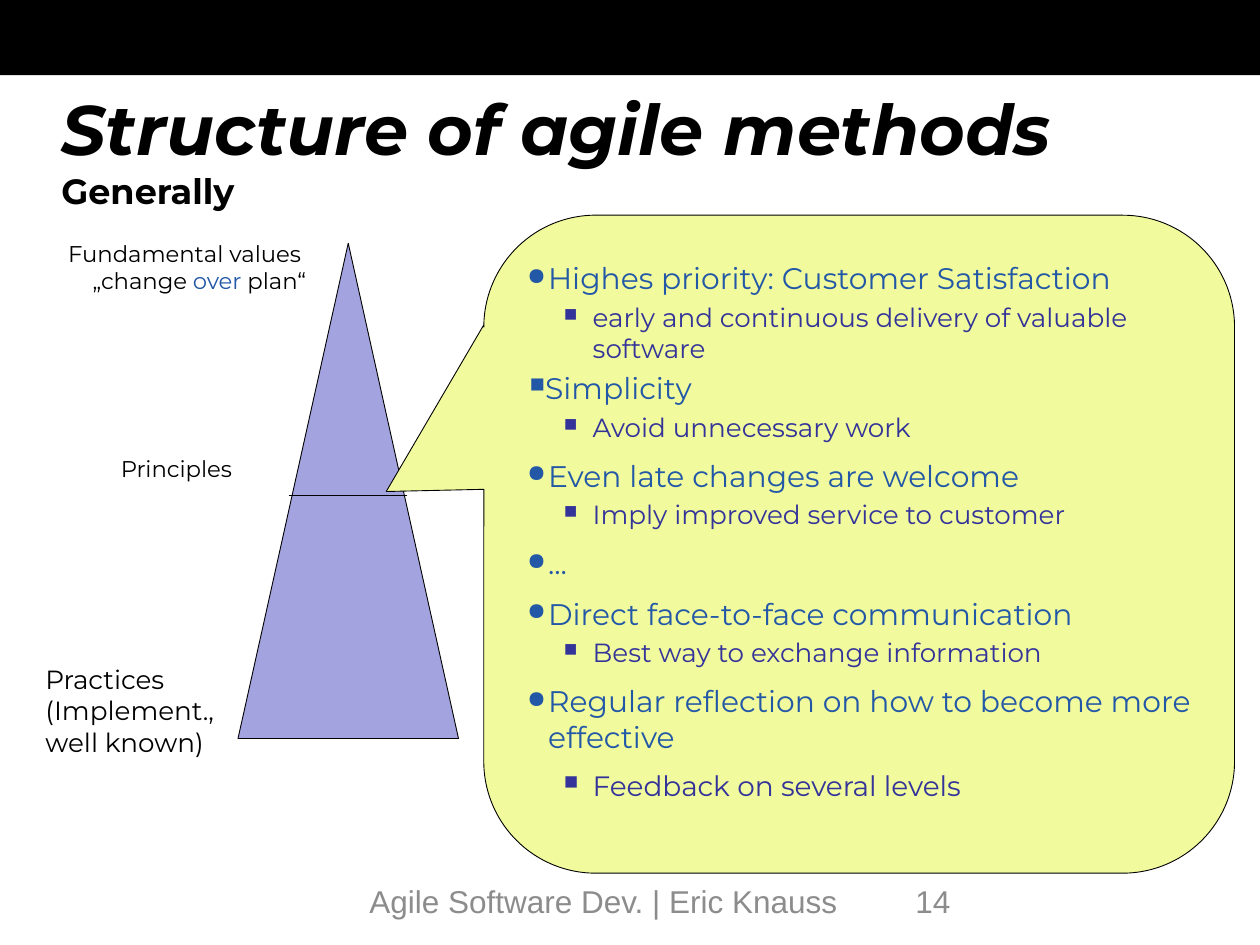
"""Build the slide on the structure of agile methods."""
from dataclasses import dataclass

import lxml.etree
import pptx
import pptx.dml.color
import pptx.enum.shapes
import pptx.enum.text
import pptx.oxml.ns
import pptx.util

Pt = pptx.util.Pt
MSO_SHAPE = pptx.enum.shapes.MSO_SHAPE


@dataclass(frozen=True)
class Theme:
    font: str = "Montserrat"
    footer_font: str = "Arial"
    black: str = "000000"
    blue: str = "2358A7"
    indigo: str = "333399"
    lilac: str = "A3A3E0"
    lime: str = "F1FA9C"
    grey: str = "8C8C8C"
    title: float = 40
    subtitle: float = 20
    footer: float = 18
    topic: float = 17
    feedback: float = 16
    detail: float = 15
    label: float = 13
    hairline: float = 0.5


THEME = Theme()


@dataclass(frozen=True)
class Box:
    left: float
    top: float
    width: float
    height: float

    def lengths(self) -> list:
        return [Pt(v) for v in (self.left, self.top, self.width, self.height)]


@dataclass(frozen=True)
class Run:
    text: str
    size: float
    color: str = THEME.black
    font: str = THEME.font
    bold: bool = False
    italic: bool = False


@dataclass(frozen=True)
class Line:
    runs: tuple[Run, ...]
    indent: float = 0


@dataclass(frozen=True)
class Bullet:
    char: str
    scale: int
    margin: float
    hanging: float
    level: int = 0


@dataclass(frozen=True)
class Item:
    text: str
    bullet: Bullet
    size: float
    color: str
    gap: float = 0.2


TOPIC = Bullet("●", 80, 12, -12)
SQUARE = Bullet("■", 70, 1.5, 0)
DETAIL = Bullet("■", 70, 37.5, -16.5, 1)


def topic(text: str, bullet: Bullet = TOPIC, gap: float = 0.5) -> Item:
    return Item(text, bullet, THEME.topic, THEME.blue, gap)


def detail(text: str, size: float = THEME.detail, gap: float = 0.2) -> Item:
    return Item(text, DETAIL, size, THEME.indigo, gap)


ITEMS = (
    topic("Highes priority: Customer Satisfaction", gap=0),
    detail("early and continuous delivery of valuable software"),
    topic("Simplicity", SQUARE, 0.2),
    detail("Avoid unnecessary work"),
    topic("Even late changes are welcome"),
    detail("Imply improved service to customer"),
    topic("..."),
    topic("Direct face-to-face communication"),
    detail("Best way to exchange information"),
    topic("Regular reflection on how to become more effective"),
    detail("Feedback on several levels", THEME.feedback, 0.5),
)


def rgb(color: str) -> pptx.dml.color.RGBColor:
    return pptx.dml.color.RGBColor.from_string(color)


def style(r, run: Run) -> None:
    r.font.name = run.font
    r.font.size = Pt(run.size)
    r.font.bold = run.bold
    r.font.italic = run.italic
    r.font.color.rgb = rgb(run.color)


def set_margins(tf, side: float, edge: float) -> None:
    tf.word_wrap = True
    tf.margin_left = tf.margin_right = Pt(side)
    tf.margin_top = tf.margin_bottom = Pt(edge)


def add_text(s, box: Box, lines: list[Line], side: float = 6, edge: float = 3) -> None:
    tf = s.shapes.add_textbox(*box.lengths()).text_frame
    set_margins(tf, side, edge)
    for i, line in enumerate(lines):
        p = tf.add_paragraph() if i else tf.paragraphs[0]
        if line.indent:
            p._p.get_or_add_pPr().set("marL", str(Pt(line.indent)))
        for run in line.runs:
            r = p.add_run()
            r.text = run.text
            style(r, run)


def add_shape(s, kind, box: Box, fill: str, outlined: bool = True):
    sp = s.shapes.add_shape(kind, *box.lengths())
    sp.shadow.inherit = False
    sp.fill.solid()
    sp.fill.fore_color.rgb = rgb(fill)
    if outlined:
        sp.line.color.rgb = rgb(THEME.black)
        sp.line.width = Pt(THEME.hairline)
    else:
        sp.line.fill.background()
    return sp


def add_items(tf, items: tuple[Item, ...]) -> None:
    qn = pptx.oxml.ns.qn
    for i, item in enumerate(items):
        p = tf.add_paragraph() if i else tf.paragraphs[0]
        p.text = item.text
        p.level = item.bullet.level
        p.alignment = pptx.enum.text.PP_ALIGN.LEFT
        p.space_before = Pt(round(item.gap * item.size, 1))
        pPr = p._p.get_or_add_pPr()
        pPr.set("marL", str(Pt(item.bullet.margin)))
        pPr.set("indent", str(Pt(item.bullet.hanging)))
        lxml.etree.SubElement(pPr, qn("a:buSzPct"), val=str(item.bullet.scale * 1000))
        lxml.etree.SubElement(pPr, qn("a:buChar"), char=item.bullet.char)
        style(p.runs[0], Run(item.text, item.size, item.color))


def add_divider(s, left: float, right: float, y: float) -> None:
    line = s.shapes.add_connector(
        pptx.enum.shapes.MSO_CONNECTOR.STRAIGHT, Pt(left), Pt(y), Pt(right), Pt(y))
    line.line.color.rgb = rgb(THEME.black)
    line.line.width = Pt(THEME.hairline)
    lxml.etree.SubElement(line._element.spPr, pptx.oxml.ns.qn("a:effectLst"))


def main() -> None:
    prs = pptx.Presentation()
    prs.slide_width, prs.slide_height = Pt(720), Pt(540)
    s = prs.slides.add_slide(prs.slide_layouts[6])

    add_shape(s, MSO_SHAPE.RECTANGLE, Box(0, 0, 720, 43), THEME.black, outlined=False)
    add_text(s, Box(28, 45.5, 612, 90), [
        Line((Run("Structure of agile methods", THEME.title, bold=True, italic=True),)),
        Line((Run("Generally", THEME.subtitle, bold=True),)),
    ], side=7.2, edge=3.6)

    add_shape(s, MSO_SHAPE.ISOSCELES_TRIANGLE, Box(136, 139, 126, 283), THEME.lilac)
    add_text(s, Box(33, 134, 166, 37.5), [
        Line((Run("Fundamental values", THEME.label),)),
        Line((Run("„change ", THEME.label), Run("over", THEME.label, THEME.blue),
              Run(" plan“", THEME.label)), indent=14),
    ])
    add_text(s, Box(63, 257, 84, 22), [Line((Run("Principles", THEME.label),))])
    add_text(s, Box(20, 376, 117, 60.5), [
        Line((Run(text, THEME.detail),))
        for text in ("Practices", "(Implement.,", "well known)")
    ])

    callout = add_shape(s, MSO_SHAPE.ROUNDED_RECTANGULAR_CALLOUT,
                        Box(276.5, 123, 429, 376), THEME.lime)
    for i, value in enumerate((-0.63, -0.08, 0.17)):
        callout.adjustments[i] = value
    tf = callout.text_frame
    set_margins(tf, 6, 3)
    tf.margin_bottom = Pt(18)
    tf.vertical_anchor = pptx.enum.text.MSO_ANCHOR.MIDDLE
    add_items(tf, ITEMS)
    add_divider(s, 165, 232.5, 283)

    for text, left, width in (("Agile Software Dev. | Eric Knauss", 204, 312),
                              ("14", 516, 168)):
        run = Run(text, THEME.footer, THEME.grey, THEME.footer_font)
        add_text(s, Box(left, 500.5, width, 29), [Line((run,))], side=7.2, edge=3.6)

    prs.save("out.pptx")


if __name__ == "__main__":
    main()
